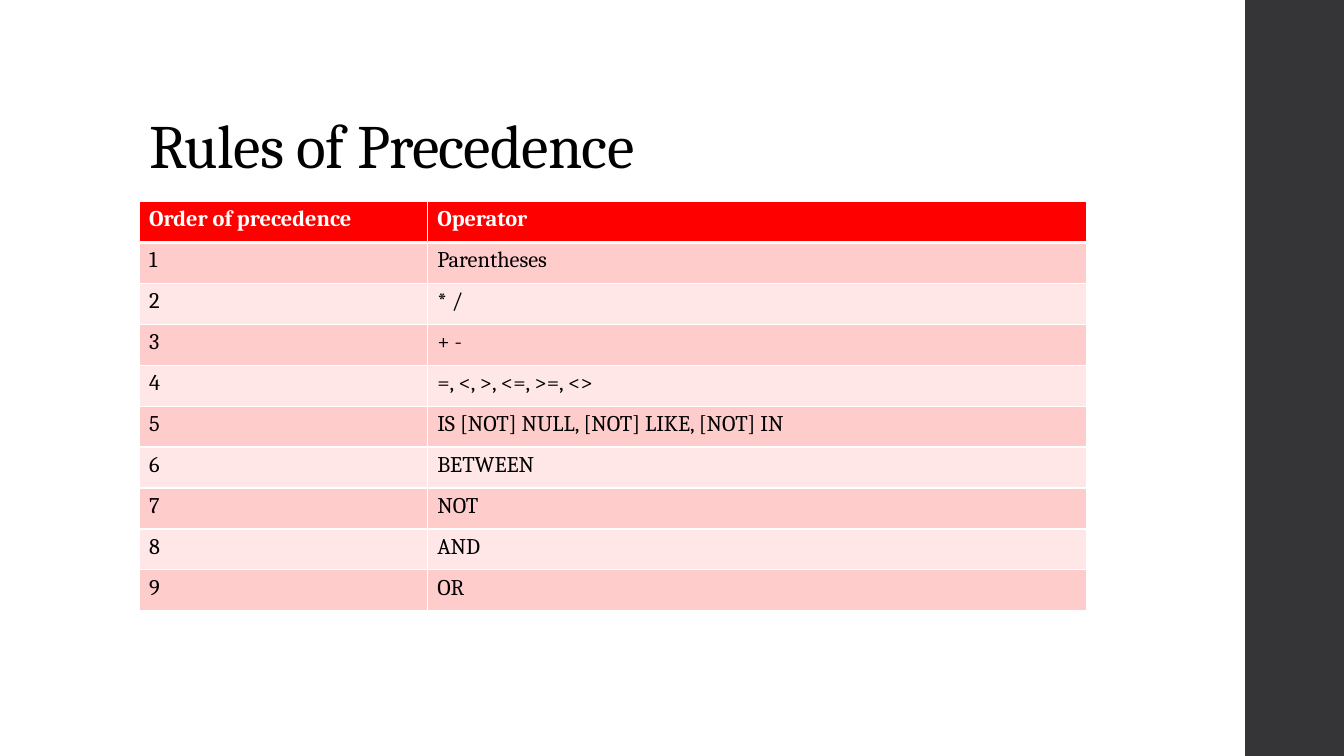
from lxml import etree
from pptx import Presentation
from pptx import util as u
from pptx.dml.color import RGBColor
from pptx.enum import shapes, text
from pptx.oxml import ns

WIDTH, HEIGHT = 13.33, 7.5
FONT = "Cambria"
WHITE, BLACK, RED = "FFFFFF", "000000", "FF0000"
BANDS = ("FFCCCC", "FFE7E7")
HEADINGS = ("Order of precedence", "Operator")
OPERATORS = (
    "Parentheses", "* /", "+ -", "=, <, >, <=, >=, <>",
    "IS [NOT] NULL, [NOT] LIKE, [NOT] IN", "BETWEEN", "NOT", "AND", "OR",
)
COLUMN_SHARES = (0.304, 0.696)


def paint(color_format, hex_color):
    color_format.rgb = RGBColor.from_string(hex_color)


def fill_solid(part, hex_color):
    part.fill.solid()
    paint(part.fill.fore_color, hex_color)


def add_run(paragraph, wording, size, hex_color, bold=False):
    run = paragraph.add_run()
    run.text = wording
    run.font.name, run.font.size, run.font.bold = FONT, u.Pt(size), bold
    paint(run.font.color, hex_color)
    return run


def add_side_band(slide, box):
    band = slide.shapes.add_shape(shapes.MSO_SHAPE.RECTANGLE, *map(u.Inches, box))
    band.shadow.inherit = False
    fill_solid(band, "353537")
    band.line.fill.background()


def add_title(slide, box):
    frame = slide.shapes.add_textbox(*map(u.Inches, box)).text_frame
    frame.word_wrap = True
    frame.vertical_anchor = text.MSO_ANCHOR.BOTTOM
    heading = frame.paragraphs[0]
    heading.line_spacing = 0.9
    run = add_run(heading, "Rules of Precedence", 44, BLACK)
    run.font._element.set("spc", "-50")


def add_borders(cell, widths):
    """Draw white borders; widths maps the sides L, R, T, B to points."""
    properties = cell._tc.get_or_add_tcPr()
    for position, (side, points) in enumerate(widths.items()):
        line = etree.Element(ns.qn(f"a:ln{side}"), w=str(u.Pt(points)))
        solid = etree.SubElement(line, ns.qn("a:solidFill"))
        etree.SubElement(solid, ns.qn("a:srgbClr"), val=WHITE)
        properties.insert(position, line)


def add_precedence_table(slide, box):
    rows = [HEADINGS] + [(str(n), name) for n, name in enumerate(OPERATORS, 1)]
    table = slide.shapes.add_table(
        len(rows), len(HEADINGS), *map(u.Inches, box)).table
    for column, share in zip(table.columns, COLUMN_SHARES):
        column.width = u.Inches(box[2] * share)
    for r, wordings in enumerate(rows):
        is_header = r == 0
        for c, wording in enumerate(wordings):
            cell = table.cell(r, c)
            fill_solid(cell, RED if is_header else BANDS[(r - 1) % 2])
            add_borders(cell, {"L": 1, "R": 1, "T": 3 if r == 1 else 1,
                               "B": 3 if is_header else 1})
            add_run(cell.text_frame.paragraphs[0], wording, 16,
                    WHITE if is_header else BLACK, is_header)


def main():
    deck = Presentation()
    deck.slide_width, deck.slide_height = u.Inches(WIDTH), u.Inches(HEIGHT)
    slide = deck.slides.add_slide(deck.slide_layouts[6])
    left = 1.38
    add_side_band(slide, (12.35, 0, 1, HEIGHT))
    add_title(slide, (left, 0.4, 10.6, 1.45))
    add_precedence_table(slide, (left, 2, 9.4, 4.06))
    deck.save("out.pptx")


if __name__ == "__main__":
    main()
